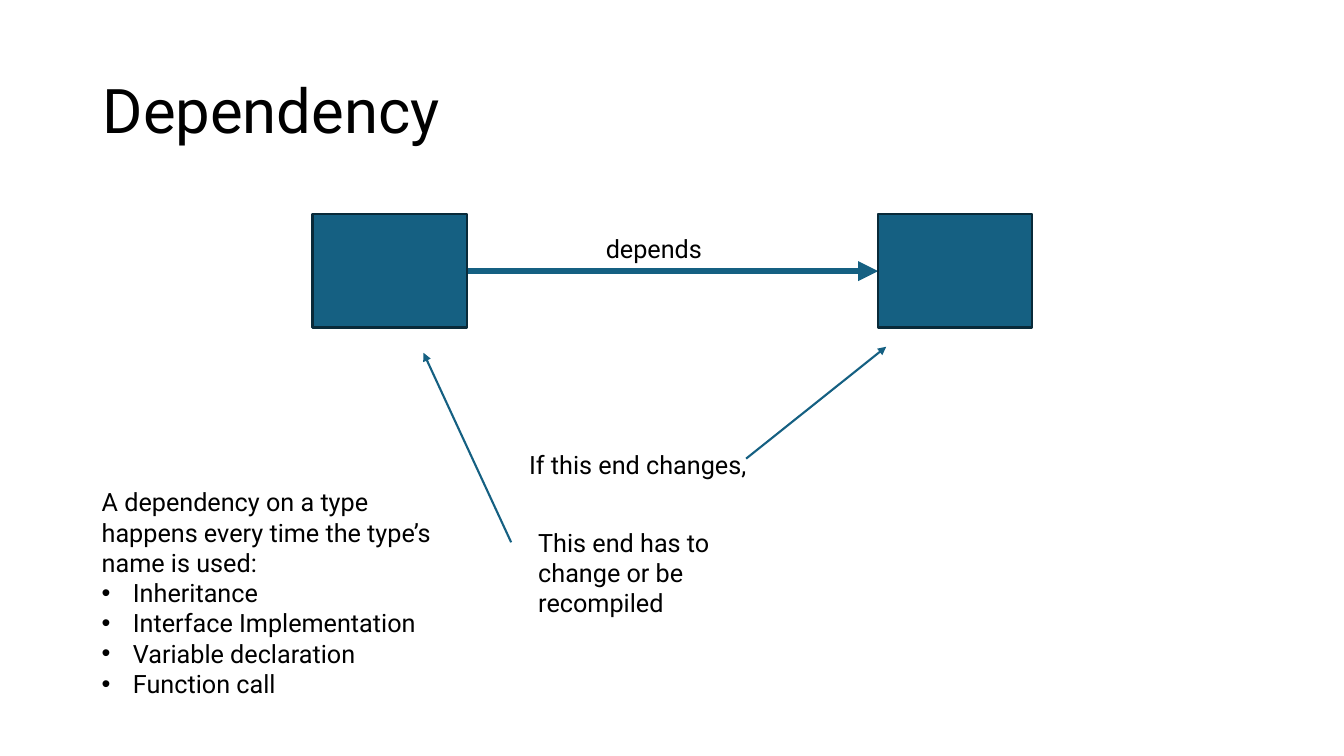
import dataclasses

import lxml.etree
import pptx
import pptx.dml.color
import pptx.enum.shapes
import pptx.enum.text
import pptx.oxml.ns
import pptx.slide
import pptx.text.text
import pptx.util

Inches = pptx.util.Inches
Pt = pptx.util.Pt
qn = pptx.oxml.ns.qn

FONT = "Roboto"
COLORS = {"ink": "000000", "teal": "156082", "edge": "092A39"}


@dataclasses.dataclass
class Label:
    left: float
    top: float
    width: float
    height: float
    text: str
    size: int = 18
    points: tuple[str, ...] = ()
    middle: bool = False


@dataclasses.dataclass
class Arrow:
    start: tuple[float, float]
    end: tuple[float, float]
    weight: float = 1.5


BOX_TOP, BOX_WIDTH, BOX_HEIGHT = 2.12, 1.53, 1.13
BOX_LEFTS = (3.1, 8.71)
AXIS = 2.69

ARROWS = (
    Arrow((BOX_LEFTS[0] + BOX_WIDTH, AXIS), (BOX_LEFTS[1], AXIS), 4.75),
    Arrow((7.4, 4.55), (8.79, 3.44)),
    Arrow((5.07, 5.38), (4.2, 3.5)),
)

LABELS = (
    Label(0.92, 0.4, 11.5, 1.45, "Dependency", size=44, middle=True),
    Label(5.91, 2.27, 1.52, 0.4, "depends"),
    Label(5.15, 4.41, 3.23, 0.4, "If this end changes,"),
    Label(5.24, 5.18, 2.7, 0.71, "This end has to change or be recompiled"),
    Label(0.91, 4.78, 3.71, 2.22,
          "A dependency on a type happens every time the type’s name is used:",
          points=("Inheritance", "Interface Implementation",
                  "Variable declaration", "Function call")),
)


def color(name: str) -> pptx.dml.color.RGBColor:
    return pptx.dml.color.RGBColor.from_string(COLORS[name])


def add_run(para: pptx.text.text._Paragraph, text: str, size: int) -> None:
    run = para.add_run()
    run.text = text
    run.font.name = FONT
    run.font.size = Pt(size)
    run.font.color.rgb = color("ink")


def add_bullet(para: pptx.text.text._Paragraph) -> None:
    """Give the paragraph a round bullet with a hanging indent."""
    props = para._p.get_or_add_pPr()
    props.set("marL", str(Inches(0.31)))
    props.set("indent", str(Inches(-0.31)))
    face = lxml.etree.SubElement(props, qn("a:buFont"))
    face.set("typeface", "Arial")
    mark = lxml.etree.SubElement(props, qn("a:buChar"))
    mark.set("char", "•")


def draw_label(slide: pptx.slide.Slide, label: Label) -> None:
    box = slide.shapes.add_textbox(Inches(label.left), Inches(label.top),
                                   Inches(label.width), Inches(label.height))
    frame = box.text_frame
    frame.word_wrap = True
    para = frame.paragraphs[0]
    if label.middle:
        frame.vertical_anchor = pptx.enum.text.MSO_ANCHOR.MIDDLE
        para.line_spacing = 0.9
    add_run(para, label.text, label.size)
    for point in label.points:
        para = frame.add_paragraph()
        add_bullet(para)
        add_run(para, point, label.size)


def draw_box(slide: pptx.slide.Slide, left: float) -> None:
    box = slide.shapes.add_shape(pptx.enum.shapes.MSO_SHAPE.RECTANGLE,
                                 Inches(left), Inches(BOX_TOP),
                                 Inches(BOX_WIDTH), Inches(BOX_HEIGHT))
    box.shadow.inherit = False
    box.fill.solid()
    box.fill.fore_color.rgb = color("teal")
    box.line.color.rgb = color("edge")
    box.line.width = Pt(1.5)


def draw_arrow(slide: pptx.slide.Slide, arrow: Arrow) -> None:
    ends = [Inches(value) for value in arrow.start + arrow.end]
    line = slide.shapes.add_connector(
        pptx.enum.shapes.MSO_CONNECTOR.STRAIGHT, *ends)
    line.line.color.rgb = color("teal")
    line.line.width = Pt(arrow.weight)
    props = line._element.spPr
    tip = lxml.etree.SubElement(props.find(qn("a:ln")), qn("a:tailEnd"))
    tip.set("type", "triangle")
    lxml.etree.SubElement(props, qn("a:effectLst"))


def main() -> None:
    deck = pptx.Presentation()
    deck.slide_width = Inches(13.33)
    deck.slide_height = Inches(7.5)
    slide = deck.slides.add_slide(deck.slide_layouts[6])
    for arrow in ARROWS:
        draw_arrow(slide, arrow)
    for left in BOX_LEFTS:
        draw_box(slide, left)
    for label in LABELS:
        draw_label(slide, label)
    deck.save("out.pptx")


if __name__ == "__main__":
    main()
